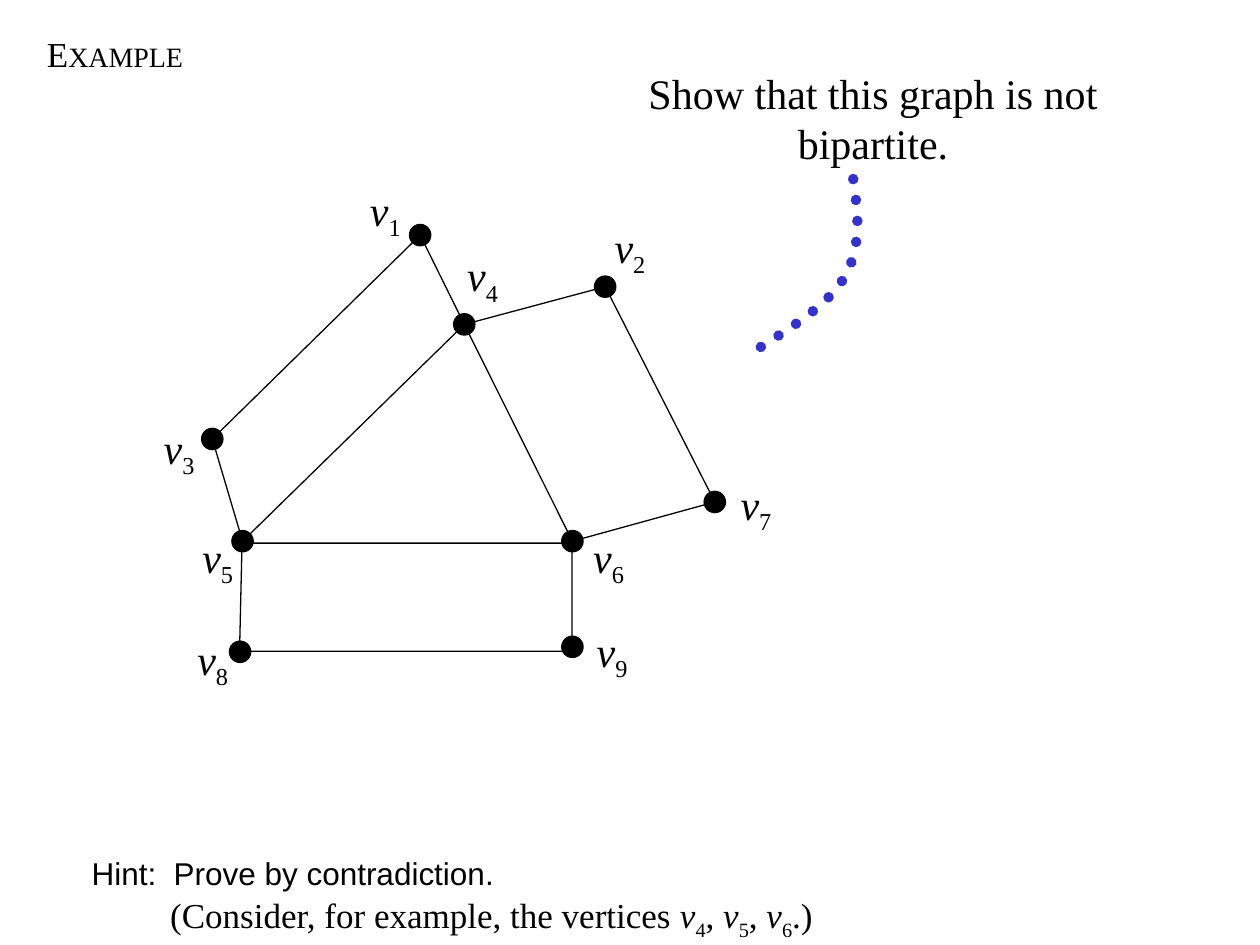
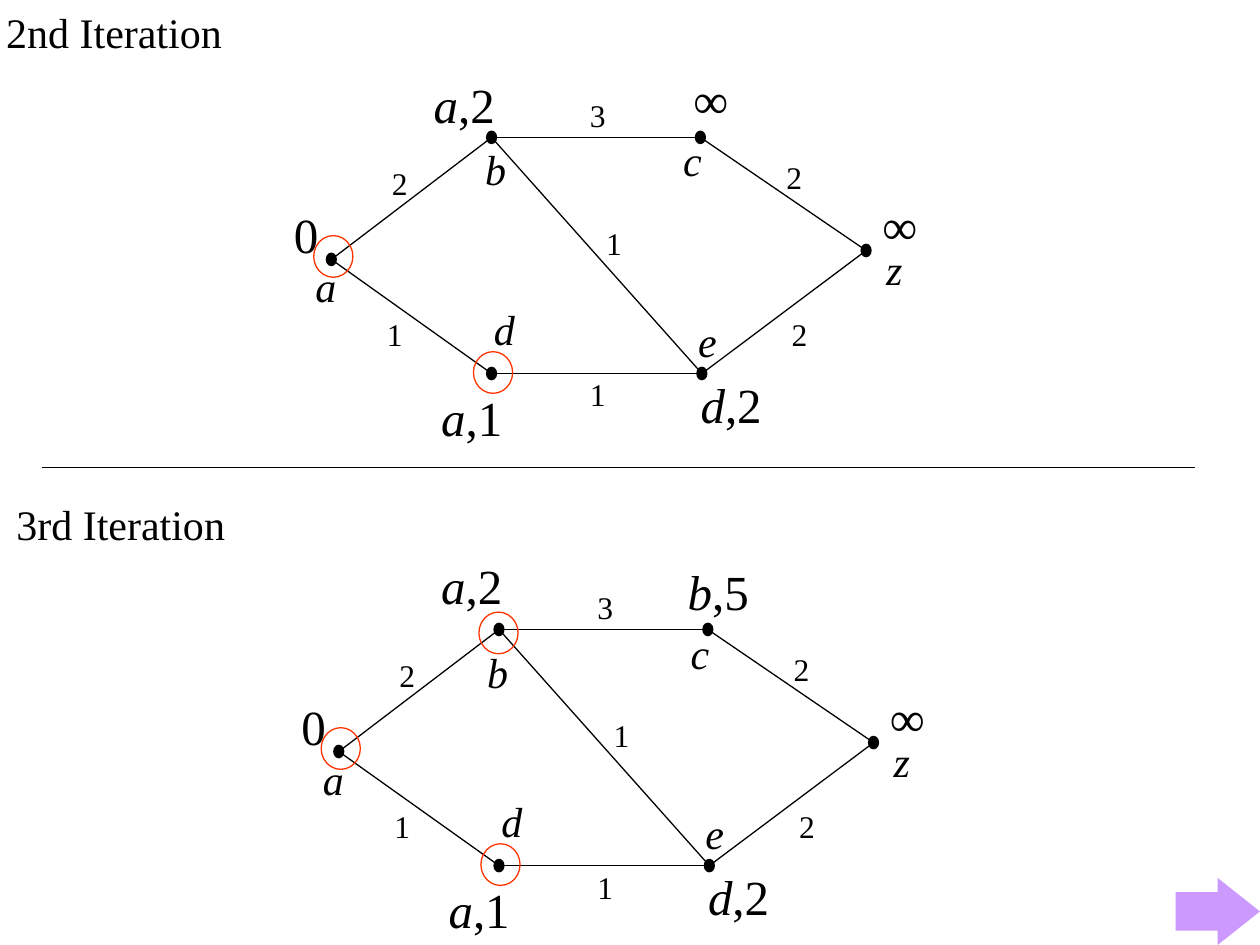
from itertools import groupby

from lxml import etree
from pptx import Presentation
from pptx.dml.color import RGBColor
from pptx.enum.dml import MSO_LINE
from pptx.enum.shapes import MSO_CONNECTOR, MSO_SHAPE
from pptx.enum.text import MSO_ANCHOR, MSO_AUTO_SIZE, PP_ALIGN
from pptx.oxml.ns import qn
from pptx.util import Cm, Pt

BLACK = RGBColor(0x00, 0x00, 0x00)
BLUE = RGBColor(0x33, 0x33, 0xCC)
RED = RGBColor(0xFF, 0x33, 0x00)
LILAC = RGBColor(0xCC, 0x99, 0xFF)
SERIF, SANS = "Times New Roman", "Arial"
LEFT, CENTER = PP_ALIGN.LEFT, PP_ALIGN.CENTER
TOP, MIDDLE = MSO_ANCHOR.TOP, MSO_ANCHOR.MIDDLE
NO_FIT = MSO_AUTO_SIZE.NONE
STRAIGHT = MSO_CONNECTOR.STRAIGHT
OVAL, ARROW = MSO_SHAPE.OVAL, MSO_SHAPE.RIGHT_ARROW
DOTTED = MSO_LINE.ROUND_DOT
THIN = Pt(0.75)
TITLE_ONLY = 5


def write(p, text, size=24, font=SERIF, italic=False, sub=False):
    """Add a formatted run to a paragraph."""
    r = p.add_run()
    r.text = text
    r.font.name, r.font.size, r.font.italic = font, Pt(size), italic
    r.font.color.rgb = BLACK
    if sub:
        r.font._element.set("baseline", "-25000")


def box(s, x, y, w, h, sp=None, align=CENTER, anchor=MIDDLE, wrap=False):
    """Place a text box, or the given placeholder, and return its text frame."""
    sp = sp or s.shapes.add_textbox(0, 0, 0, 0)
    sp.left, sp.top, sp.width, sp.height = Cm(x), Cm(y), Cm(w), Cm(h)
    tf = sp.text_frame
    tf.word_wrap, tf.auto_size, tf.vertical_anchor = wrap, NO_FIT, anchor
    tf.paragraphs[0].alignment = align
    return tf


prs = Presentation()
prs.slide_width, prs.slide_height = Cm(25.4), Cm(19.05)
layout = prs.slide_layouts[TITLE_ONLY]
lines = []  # slide, start point, end point
ovals = []  # slide, centre, width, height, line colour, filled

# Slide 1: title and task
s = prs.slides.add_slide(layout)
tf = box(s, 0.69, 0.69, 10.67, 0.94, sp=s.shapes.title, align=LEFT, anchor=TOP, wrap=True)
p = tf.paragraphs[0]
p.line_spacing = 0.8
write(p, "E", size=20)
write(p, "XAMPLE", size=16)
tf = box(s, 11.76, 1.22, 11.68, 2.3, wrap=True)
write(tf.paragraphs[0], "Show that this graph is not bipartite.")

# Slide 1: vertices, number -> (dot centre, label centre)
vertices = {
    1: ((8.47, 4.74), (7.77, 4.29)),
    2: ((12.2, 5.78), (12.7, 5.03)),
    3: ((4.28, 8.85), (3.61, 9.09)),
    4: ((9.36, 6.54), (9.73, 5.61)),
    5: ((4.89, 10.91), (4.39, 11.28)),
    6: ((11.54, 10.91), (12.27, 11.28)),
    7: ((14.41, 10.12), (15.24, 10.21)),
    8: ((4.84, 13.14), (4.29, 13.34)),
    9: ((11.54, 13.04), (12.34, 13.18)),
}
for number, (dot, (x, y)) in vertices.items():
    ovals.append((s, dot, 0.43, 0.43, BLACK, True))
    p = box(s, x - 0.58, y - 0.63, 1.16, 1.27).paragraphs[0]
    write(p, "v", italic=True)
    write(p, str(number), sub=True)

# Slide 1: edges, the lower four as one outline
for i, j in [(1, 3), (3, 5), (1, 4), (4, 5), (2, 4), (2, 7), (4, 6), (6, 7)]:
    lines.append((s, vertices[i][0], vertices[j][0]))
quad = [(4.88, 10.95), (11.53, 10.95), (11.53, 13.13), (4.83, 13.13)]

# Slide 1: dotted curve of two Bezier pieces
curve = [(17.2, 3.61)]
for controls in (
    [(17.2, 3.61), (17.3, 4.29), (17.37, 4.98), (17.04, 5.56)],
    [(17.04, 5.56), (16.71, 6.15), (15.95, 6.6), (15.19, 7.09)],
):
    for step in range(1, 13):
        t = step / 12
        weights = ((1 - t) ** 3, 3 * t * (1 - t) ** 2, 3 * t * t * (1 - t), t ** 3)
        curve.append(tuple(sum(w * c[k] for w, c in zip(weights, controls)) for k in (0, 1)))

for points, closed, color, width in ((quad, True, BLACK, THIN), (curve, False, BLUE, Pt(6))):
    start, *rest = [(Cm(x), Cm(y)) for x, y in points]
    builder = s.shapes.build_freeform(*start)
    builder.add_line_segments(rest, close=closed)
    sp = builder.convert_to_shape()
    sp.shadow.inherit = False
    sp.fill.background()
    sp.line.color.rgb, sp.line.width = color, width
sp.line.dash_style = DOTTED
sp.element.spPr.find(qn("a:ln")).set("cap", "rnd")

# Slide 1: hint, aligned by indents
tf = box(s, 1.6, 17.09, 15.11, 1.96, align=LEFT, anchor=TOP)
p = tf.paragraphs[0]
pPr = p._p.get_or_add_pPr()
pPr.set("marL", str(Cm(1.65)))
pPr.set("indent", str(-Cm(1.65)))
write(p, "Hint:\tProve by contradiction.", size=18, font=SANS)
p = tf.add_paragraph()
p.alignment, p.space_before = LEFT, Pt(1)
p._p.get_or_add_pPr().set("marL", str(Cm(1.58)))
write(p, "(Consider, for example, the vertices ", size=20)
for number, after in (("4", ", "), ("5", ", "), ("6", ".)")):
    write(p, "v", size=20, italic=True)
    write(p, number, size=20, sub=True)
    write(p, after, size=20)

# Slide 2: headings and divider
s = prs.slides.add_slide(layout)
tf = box(s, -0.13, 0, 6, 1.27, sp=s.shapes.title, align=LEFT, wrap=True)
write(tf.paragraphs[0], "2nd Iteration")
tf = box(s, 0.08, 9.93, 6, 1.27, align=LEFT, wrap=True)
write(tf.paragraphs[0], "3rd Iteration")
lines.append((s, (0.84, 9.42), (24.08, 9.42)))

# Slide 2: the weighted graph, in the coordinates of the upper drawing
nodes = {"a": (6.68, 5.23), "b": (9.91, 2.77), "c": (14.12, 2.77),
         "d": (9.91, 7.53), "e": (14.15, 7.53), "z": (17.46, 5.05)}
edges = {"ab": ("2", 8.06, 3.68), "ad": ("1", 7.96, 6.73), "de": ("1", 12.05, 7.95),
         "bc": ("3", 12.05, 2.31), "cz": ("2", 16.01, 3.56), "ez": ("2", 16.12, 6.73),
         "be": ("1", 12.38, 4.9)}
names = {"a": (6.57, 5.77), "b": (9.99, 3.4), "c": (13.96, 3.23),
         "d": (10.17, 6.63), "e": (14.26, 6.86), "z": (18.03, 5.41)}
tags = {"a": (6.17, 4.71), "b": (9.36, 2.1), "c": (14.33, 1.99),
        "d": (9.51, 8.4), "e": (14.74, 8.14), "z": (18.14, 4.53)}
rings = {"a": (6.72, 5.17), "b": (9.9, 2.84), "d": (9.94, 7.51)}
heights = {18: 1.02, 24: 1.27, 28: 1.45}
widths = {18: 0.84, 24: 0.94, 28: 1.2}

# Slide 2: offset, tag of each node, settled nodes, extra shift of b's texts
iterations = [
    (0, 0, ("0", "a,2", "∞", "a,1", "d,2", "∞"), "ad", 0),
    (0.15, 9.92, ("0", "a,2", "b,5", "a,1", "d,2", "∞"), "abd", 0.22),
]
for dx, dy, values, settled, b_shift in iterations:
    for x, y in nodes.values():
        ovals.append((s, (x + dx, y + dy), 0.2, 0.25, BLACK, True))
    for name in settled:
        x, y = rings[name]
        ovals.append((s, (x + dx, y + dy), 0.79, 0.84, RED, False))
    for i, j in edges:
        (x1, y1), (x2, y2) = nodes[i], nodes[j]
        lines.append((s, (x1 + dx, y1 + dy), (x2 + dx, y2 + dy)))

    labels = [(text, 18, x, y) for text, x, y in edges.values()]
    for (name, (x, y)), value in zip(names.items(), values):
        shift = b_shift if name == "b" else 0
        tag_x, tag_y = tags[name]
        labels.append((name, 24, x - shift / 2, y + shift))
        labels.append((value, 28, tag_x, tag_y - shift))
    for text, size, x, y in labels:
        w = 1.75 if "," in text else widths[size]
        h = heights[size]
        p = box(s, x + dx - w / 2, y + dy - h / 2, w, h).paragraphs[0]
        for is_letter, part in groupby(text, str.isalpha):
            write(p, "".join(part), size=size, italic=is_letter)

# Slide 2: arrow in the corner
sp = s.shapes.add_shape(ARROW, Cm(23.7), Cm(17.7), Cm(1.7), Cm(1.35))
sp.adjustments[0], sp.adjustments[1] = 0.575, 0.631
sp.shadow.inherit = False
sp.fill.solid()
sp.fill.fore_color.rgb = LILAC
sp.line.fill.background()

# Both slides: edges, dots and rings
for s, (x1, y1), (x2, y2) in lines:
    c = s.shapes.add_connector(STRAIGHT, Cm(x1), Cm(y1), Cm(x2), Cm(y2))
    c.line.color.rgb, c.line.width = BLACK, THIN
    etree.SubElement(c.element.spPr, qn("a:effectLst"))
for s, (x, y), w, h, color, filled in ovals:
    sp = s.shapes.add_shape(OVAL, Cm(x - w / 2), Cm(y - h / 2), Cm(w), Cm(h))
    sp.shadow.inherit = False
    sp.line.color.rgb, sp.line.width = color, THIN
    if filled:
        sp.fill.solid()
        sp.fill.fore_color.rgb = color
    else:
        sp.fill.background()

prs.save("out.pptx")
